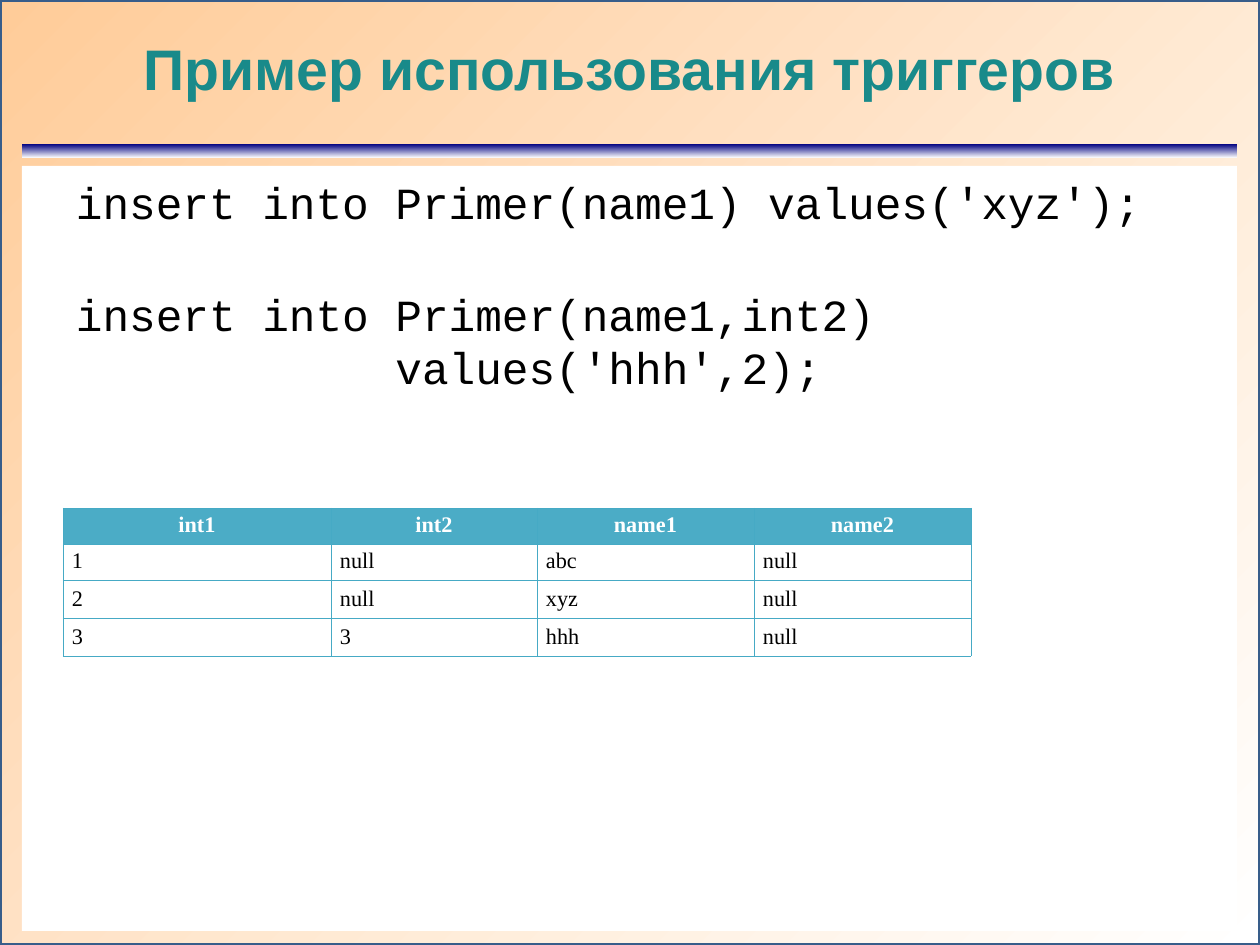
"""Build a slide on trigger use: two insert statements and the resulting table."""
from lxml import etree
from pptx import Presentation, util as u
from pptx.dml.color import RGBColor
from pptx.enum import shapes, text
from pptx.oxml import ns

PX = 8000
WHITE = RGBColor(0xFF, 0xFF, 0xFF)
BLACK = RGBColor(0, 0, 0)
PEACH = RGBColor(0xFF, 0xCC, 0x99)
NAVY = RGBColor(0, 0, 0x80)
STEEL = RGBColor(0x38, 0x5D, 0x8A)
TEAL = RGBColor(0x19, 0x8A, 0x8A)
AQUA = RGBColor(0x4B, 0xAC, 0xC6)
EDGE = RGBColor(0x46, 0xAA, 0xC5)

LEFT = text.PP_ALIGN.LEFT
CENTER = text.PP_ALIGN.CENTER
TOP = text.MSO_ANCHOR.TOP
MIDDLE = text.MSO_ANCHOR.MIDDLE

CODE = [
    "insert into Primer(name1) values('xyz');",
    "insert into Primer(name1,int2)\n            values('hhh',2);",
]
ROWS = [
    ["int1", "int2", "name1", "name2"],
    ["1", "null", "abc", "null"],
    ["2", "null", "xyz", "null"],
    ["3", "3", "hhh", "null"],
]
COLS = [268, 206, 217, 217]
HIGHS = [36, 36, 38, 38]


def px(*nums):
    """Turn px lengths into EMU."""
    return [u.Emu(num * PX) for num in nums]


def write(frame, lines, font, size, color, bold=False, align=LEFT,
          anchor=TOP, pad=(0, 0, 0, 0), gap=0, pitch=None):
    """Fill a text frame with formatted paragraphs."""
    frame.word_wrap = True
    frame.vertical_anchor = anchor
    (frame.margin_left, frame.margin_top,
     frame.margin_right, frame.margin_bottom) = px(*pad)
    for num, line in enumerate(lines):
        para = frame.add_paragraph() if num else frame.paragraphs[0]
        para.text = line
        para.alignment = align
        para.space_before = u.Pt(gap if num else 0)
        if pitch:
            para.line_spacing = u.Pt(pitch)
        for run in para.runs:
            run.font.name = font
            run.font.size = u.Pt(size)
            run.font.bold = bold
            run.font.color.rgb = color


def panel(slide, box, colors, angle=0, line=None):
    """Add a rectangle with a plain or a two-colour fill."""
    rect = slide.shapes.add_shape(shapes.MSO_SHAPE.RECTANGLE, *px(*box))
    rect.shadow.inherit = False
    if len(colors) == 1:
        rect.fill.solid()
        rect.fill.fore_color.rgb = colors[0]
    else:
        rect.fill.gradient()
        rect.fill.gradient_angle = angle
        for stop, color in zip(rect.fill.gradient_stops, colors):
            stop.color.rgb = color
    if line:
        rect.line.color.rgb = line
        rect.line.width = u.Pt(2)
    else:
        rect.line.fill.background()
    return rect


def border(cell, color, width):
    """Draw a thin line on the four sides of a cell."""
    props = cell._tc.get_or_add_tcPr()
    for num, side in enumerate(("lnL", "lnR", "lnT", "lnB")):
        line = etree.Element(ns.qn(f"a:{side}"), w=str(int(u.Pt(width))))
        fill = etree.SubElement(line, ns.qn("a:solidFill"))
        etree.SubElement(fill, ns.qn("a:srgbClr"), val=str(color))
        props.insert(num, line)


def grid(slide, rows, left, top):
    """Add the table of results."""
    box = px(left, top, sum(COLS), sum(HIGHS))
    table = slide.shapes.add_table(len(rows), len(COLS), *box).table
    table.horz_banding = False
    for col, wide in zip(table.columns, px(*COLS)):
        col.width = wide
    for row, high in zip(table.rows, px(*HIGHS)):
        row.height = high
    for r, row in enumerate(rows):
        head = r == 0
        for c, word in enumerate(row):
            cell = table.cell(r, c)
            cell.fill.solid()
            cell.fill.fore_color.rgb = AQUA if head else WHITE
            cell.margin_left, cell.margin_right = px(9, 9)
            cell.margin_top, cell.margin_bottom = px(5, 5)
            frame = cell.text_frame
            para = frame.paragraphs[0]
            para.text = word
            para.alignment = CENTER if head else LEFT
            if r > 1:
                para.line_spacing = u.Pt(16.7)
            font = para.runs[0].font
            font.name, font.size, font.bold = "Times New Roman", u.Pt(14), head
            font.color.rgb = WHITE if head else BLACK
            border(cell, EDGE, 0.34)


def main():
    """Build and save the slide."""
    deck = Presentation()
    deck.slide_width, deck.slide_height = px(1260, 945)
    slide = deck.slides.add_slide(deck.slide_layouts[5])

    back = panel(slide, (0, 0, 1260, 945), (WHITE, PEACH), 135, STEEL)
    title = slide.shapes.title
    title.element.addprevious(back.element)
    title.left, title.top, title.width, title.height = px(22, 23, 1215, 90)
    write(title.text_frame, ["Пример использования триггеров"], "Arial", 36,
          TEAL, bold=True, align=CENTER, anchor=MIDDLE)

    panel(slide, (22, 144, 1215, 14), (NAVY, WHITE), 270)
    body = panel(slide, (22, 166, 1215, 765), (WHITE,))
    write(body.text_frame, CODE, "Courier New", 28, BLACK,
          pad=(54, 9, 0, 0), gap=37)
    grid(slide, ROWS, 63, 508)
    deck.save("out.pptx")


if __name__ == "__main__":
    main()
